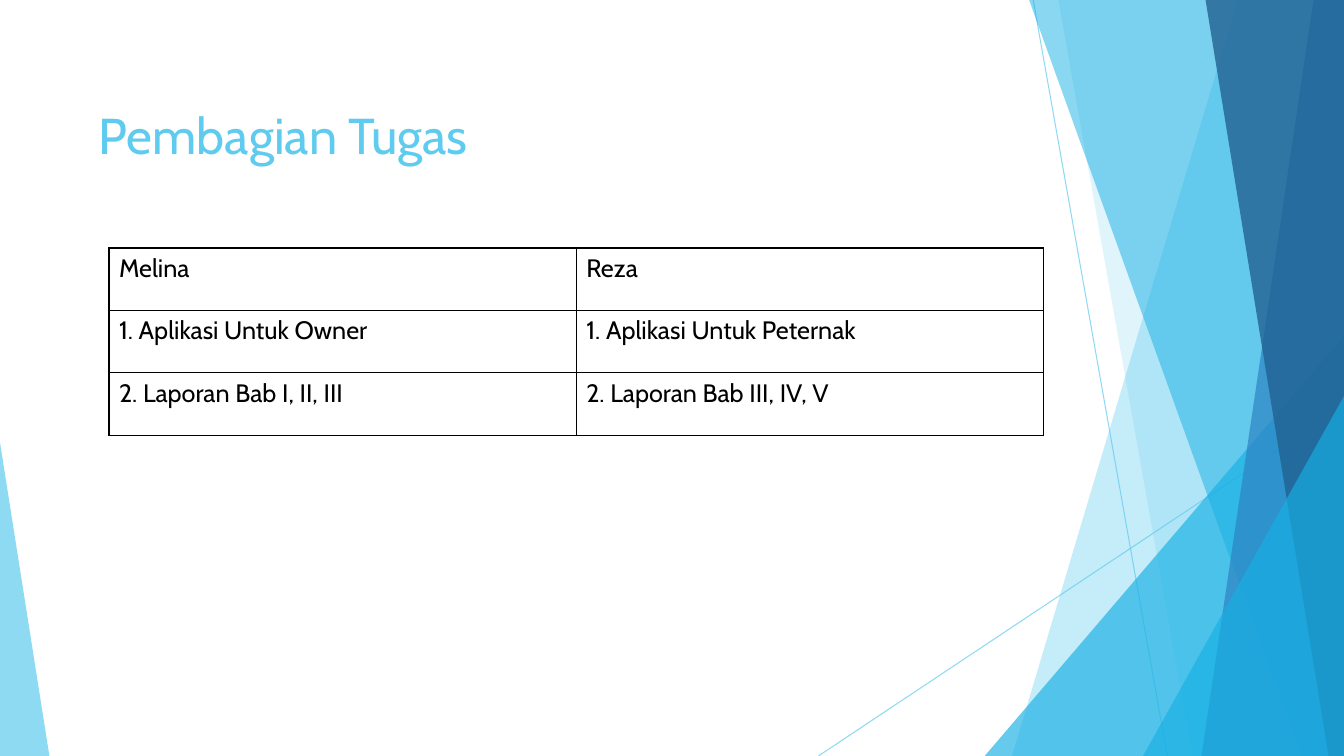
from dataclasses import dataclass

from lxml import etree
from pptx import Presentation
from pptx.dml.color import RGBColor
from pptx.enum.shapes import MSO_CONNECTOR, MSO_SHAPE
from pptx.enum.text import MSO_ANCHOR
from pptx.oxml.ns import qn
from pptx.util import Pt

STRAIGHT = MSO_CONNECTOR.STRAIGHT
TRIANGLE = MSO_SHAPE.ISOSCELES_TRIANGLE
TOP = MSO_ANCHOR.TOP

SLIDE_WIDTH, SLIDE_HEIGHT = 960, 540
FONT = "Cabin"
COLOURS = {
    "sky": "5FCBEF",
    "cyan": "17B0E4",
    "blue": "2E83C3",
    "navy": "226292",
    "black": "000000",
}
TASKS = [
    ("Melina", "Reza"),
    ("1. Aplikasi Untuk Owner", "1. Aplikasi Untuk Peternak"),
    ("2. Laporan Bab I, II, III", "2. Laporan Bab III, IV, V"),
]
TABLE_LEFT, TABLE_TOP = 77.8, 177.1
COLUMN_WIDTH, ROW_HEIGHT = 333.8, 44.6


@dataclass
class Ray:
    start: tuple[float, float]
    end: tuple[float, float]


@dataclass
class Band:
    """Full-height facet that reaches the right edge of the slide."""
    top_left: float
    bottom_left: float
    colour: str
    opacity: int


@dataclass
class Corner:
    """Triangle standing on the bottom edge; apex is 0 for left, 1 for right."""
    left: float
    width: float
    height: float
    apex: float
    colour: str
    opacity: int


RAYS = [Ray((738, 0), (833.8, 540)), Ray((960, 290.2), (584.6, 540))]
FACETS = [
    Band(884.2, 722.9, "sky", 36),
    Band(756, 851.8, "sky", 20),
    Corner(703.4, 256.6, 300.2, 1, "cyan", 66),
    Band(735.1, 929.5, "cyan", 50),
    Band(938.2, 858.2, "blue", 70),
    Band(861.1, 949, "navy", 80),
    Corner(816.5, 143.5, 257, 1, "cyan", 66),
    Corner(0, 35.3, 223.9, 0, "sky", 70),
]


def rgb(name: str) -> RGBColor:
    return RGBColor.from_string(COLOURS[name])


def set_opacity(element, percent: int) -> None:
    colour = element.find(".//" + qn("a:srgbClr"))
    etree.SubElement(colour, qn("a:alpha"), val=str(percent * 1000))


def write_text(text_frame, text: str, *, size: float, colour: str) -> None:
    text_frame.word_wrap = True
    text_frame.vertical_anchor = TOP
    run = text_frame.paragraphs[0].add_run()
    run.text = text
    run.font.name = FONT
    run.font.size = Pt(size)
    run.font.color.rgb = rgb(colour)


def draw_ray(slide, ray: Ray) -> None:
    points = [Pt(value) for value in ray.start + ray.end]
    connector = slide.shapes.add_connector(STRAIGHT, *points)
    connector.line.color.rgb = rgb("sky")
    connector.line.width = Pt(0.75)
    properties = connector._element.spPr
    set_opacity(properties, 70)
    etree.SubElement(properties, qn("a:effectLst"))


def build_band(slide, band: Band):
    builder = slide.shapes.build_freeform(Pt(band.top_left), 0)
    builder.add_line_segments([
        (Pt(SLIDE_WIDTH), 0),
        (Pt(SLIDE_WIDTH), Pt(SLIDE_HEIGHT)),
        (Pt(band.bottom_left), Pt(SLIDE_HEIGHT)),
    ])
    return builder.convert_to_shape()


def build_corner(slide, corner: Corner):
    shape = slide.shapes.add_shape(
        TRIANGLE, Pt(corner.left), Pt(SLIDE_HEIGHT - corner.height),
        Pt(corner.width), Pt(corner.height))
    shape.adjustments[0] = corner.apex
    return shape


def draw_facet(slide, facet: Band | Corner) -> None:
    build = build_band if isinstance(facet, Band) else build_corner
    shape = build(slide, facet)
    shape.shadow.inherit = False
    shape.line.fill.background()
    shape.fill.solid()
    shape.fill.fore_color.rgb = rgb(facet.colour)
    set_opacity(shape._element.spPr, facet.opacity)


def set_borders(cell) -> None:
    properties = cell._tc.get_or_add_tcPr()
    for index, side in enumerate(("lnL", "lnR", "lnT", "lnB")):
        line = etree.Element(qn("a:" + side), w=str(Pt(1)))
        fill = etree.SubElement(line, qn("a:solidFill"))
        etree.SubElement(fill, qn("a:srgbClr"), val=COLOURS["black"])
        properties.insert(index, line)


def draw_title(slide) -> None:
    title = slide.shapes.title
    title.left, title.top = Pt(63.4), Pt(70.6)
    title.width, title.height = Pt(676.8), Pt(103.7)
    write_text(title.text_frame, "Pembagian Tugas", size=36, colour="sky")
    title.text_frame.paragraphs[0].alignment = 1


def draw_tasks(slide) -> None:
    row_count, column_count = len(TASKS), len(TASKS[0])
    table = slide.shapes.add_table(
        row_count, column_count, Pt(TABLE_LEFT), Pt(TABLE_TOP),
        Pt(COLUMN_WIDTH * column_count), Pt(ROW_HEIGHT * row_count)).table
    table.first_row = False
    table.horz_banding = False
    for column in table.columns:
        column.width = Pt(COLUMN_WIDTH)
    for row, texts in zip(table.rows, TASKS):
        row.height = Pt(ROW_HEIGHT)
        for cell, text in zip(row.cells, texts):
            cell.fill.background()
            set_borders(cell)
            write_text(cell.text_frame, text, size=18, colour="black")


def main() -> None:
    presentation = Presentation()
    presentation.slide_width = Pt(SLIDE_WIDTH)
    presentation.slide_height = Pt(SLIDE_HEIGHT)
    slide = presentation.slides.add_slide(presentation.slide_layouts[5])
    for ray in RAYS:
        draw_ray(slide, ray)
    for facet in FACETS:
        draw_facet(slide, facet)
    draw_title(slide)
    draw_tasks(slide)
    presentation.save("out.pptx")


if __name__ == "__main__":
    main()
